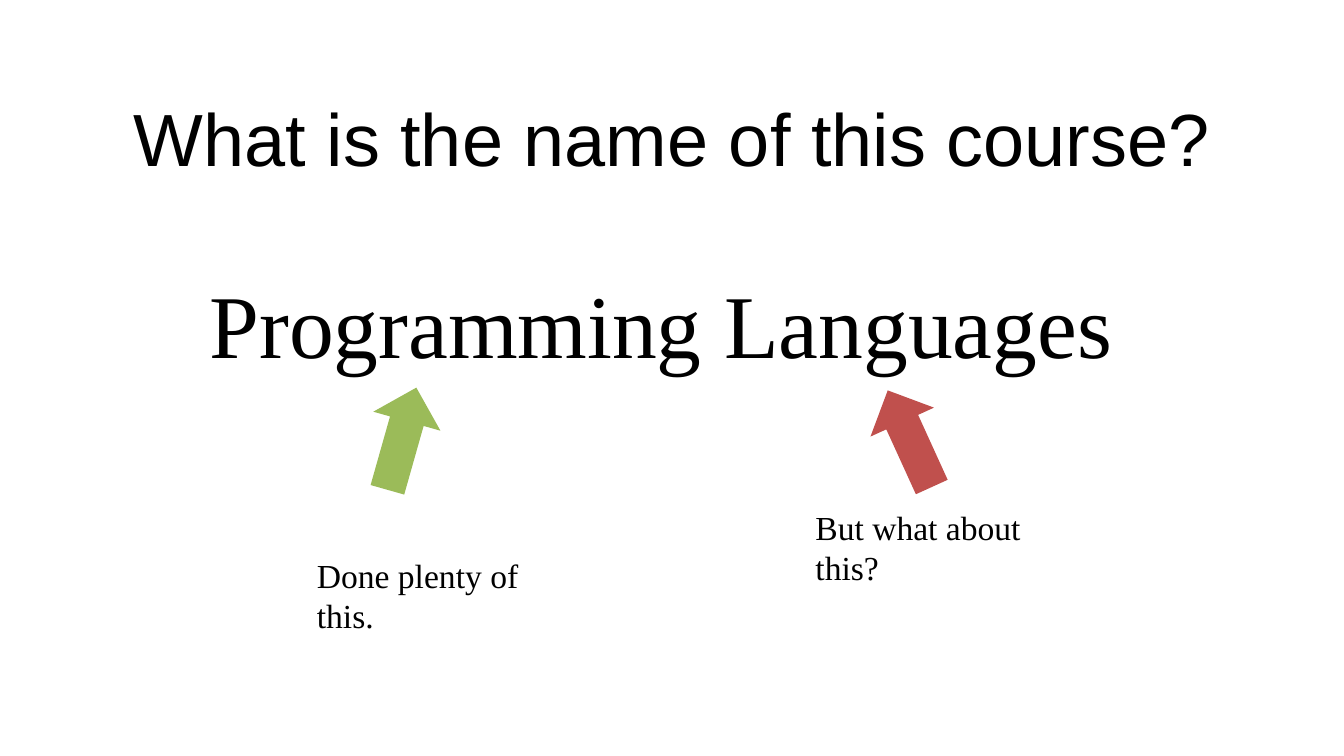
from pptx import Presentation
from pptx.dml.color import RGBColor
from pptx.enum.shapes import MSO_SHAPE
from pptx.enum.text import MSO_ANCHOR, PP_ALIGN
from pptx.util import Pt

ARROW = MSO_SHAPE.UP_ARROW
MIDDLE = MSO_ANCHOR.MIDDLE
CENTER = PP_ALIGN.CENTER

COLORS = {"text": "000000", "green": "9BBB59", "red": "C0504D"}
SANS = "Arial"
SERIF = "Times New Roman"
TITLE_ONLY = 5


def color(name):
    return RGBColor.from_string(COLORS[name])


def add_run(par, text, size, face):
    run = par.add_run()
    run.text = text
    run.font.size = Pt(size)
    run.font.name = face
    run.font.color.rgb = color("text")


def set_title(slide, text):
    title = slide.shapes.title
    title.left, title.top = Pt(36), Pt(39.6)
    title.width, title.height = Pt(648), Pt(67.7)
    frame = title.text_frame
    frame.word_wrap = True
    frame.vertical_anchor = MIDDLE
    par = frame.paragraphs[0]
    par.alignment = CENTER
    add_run(par, text, 39.6, SANS)


def add_text(slide, text, left, top, width, height, size):
    box = slide.shapes.add_textbox(Pt(left), Pt(top), Pt(width), Pt(height))
    frame = box.text_frame
    frame.word_wrap = True
    add_run(frame.paragraphs[0], text, size, SERIF)


def add_arrow(slide, left, angle, fill):
    arrow = slide.shapes.add_shape(ARROW, Pt(left), Pt(206.6), Pt(37.4), Pt(56.9))
    arrow.rotation = angle
    arrow.shadow.inherit = False
    arrow.fill.solid()
    arrow.fill.fore_color.rgb = color(fill)
    arrow.line.fill.background()


def main():
    deck = Presentation()
    deck.slide_width, deck.slide_height = Pt(720), Pt(405)
    slide = deck.slides.add_slide(deck.slide_layouts[TITLE_ONLY])

    set_title(slide, "What is the name of this course?")
    add_text(slide, "Programming Languages", 105.1, 140.4, 524.2, 65.5, 48)
    add_arrow(slide, 196.6, 15.8, "green")
    add_text(slide, "But what about this?", 429.8, 267.8, 133.9, 51.1, 18)
    add_arrow(slide, 468.7, 335.5, "red")
    add_text(slide, "Done plenty of this.", 162.7, 293.5, 133.9, 51.1, 18)

    deck.save("out.pptx")


if __name__ == "__main__":
    main()
